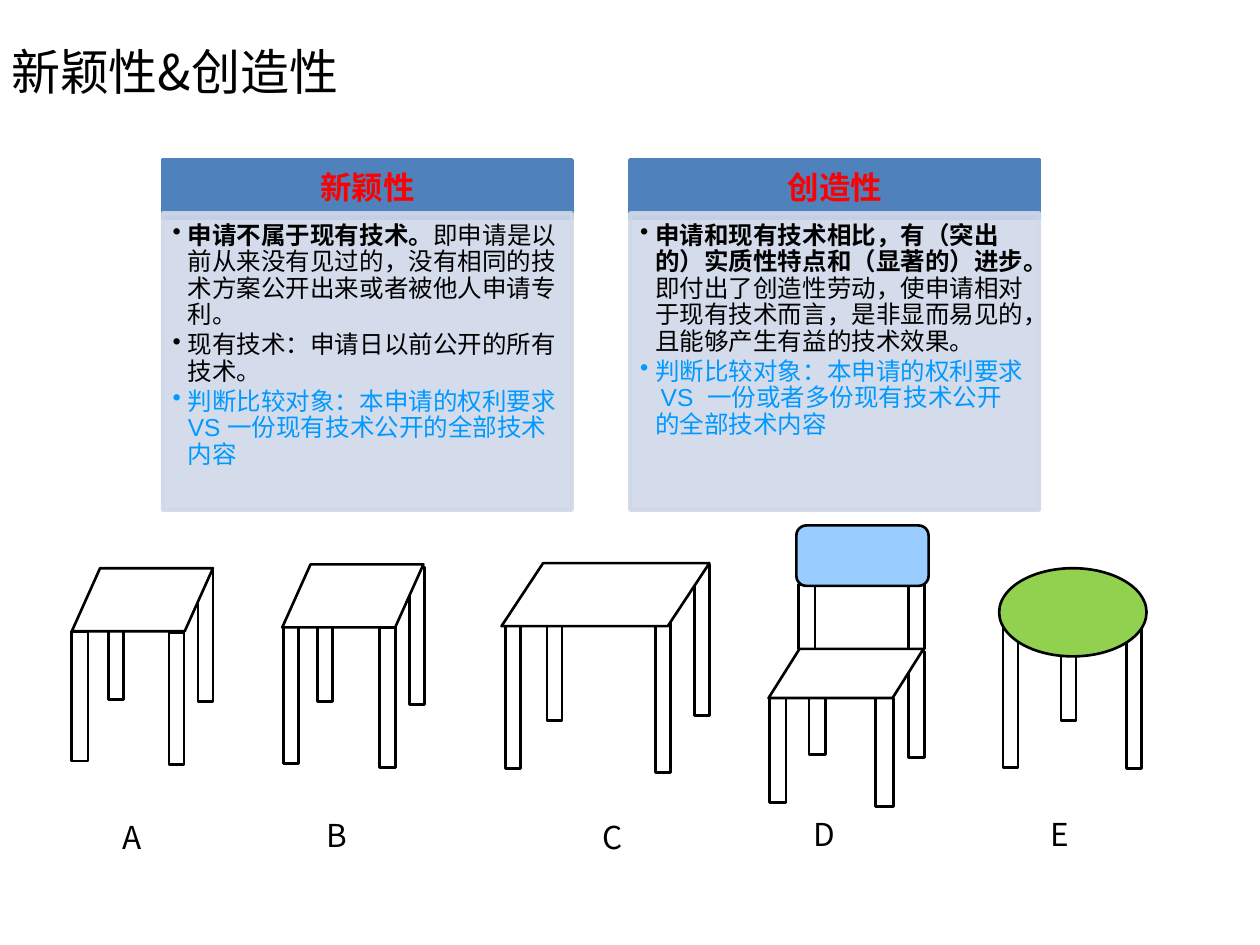
from lxml import etree
from pptx import Presentation
from pptx import util as u
from pptx.dml.color import RGBColor
from pptx.enum import shapes, text
from pptx.oxml.ns import qn

BLACK = RGBColor(0x00, 0x00, 0x00)
WHITE = RGBColor(0xFF, 0xFF, 0xFF)
RED = RGBColor(0xFF, 0x00, 0x00)
HEADER_BLUE = RGBColor(0x4F, 0x81, 0xBD)
PANEL_BLUE = RGBColor(0xD0, 0xD8, 0xE8)
NOTE_BLUE = RGBColor(0x00, 0x99, 0xFF)
BACKREST_BLUE = RGBColor(0x99, 0xCC, 0xFF)
STOOL_GREEN = RGBColor(0x92, 0xD0, 0x50)
CJK_FONT = "Noto Sans CJK SC"
KINDS = shapes.MSO_SHAPE
SEAT = KINDS.FLOWCHART_DATA

TITLE = {"name": CJK_FONT, "size": u.Pt(28)}
LABEL = {"name": CJK_FONT, "size": u.Pt(18)}
HEADING = {"name": CJK_FONT, "size": u.Pt(18), "bold": True}
BODY = {"name": "Arial", "size": u.Pt(14), "bold": False}
STRONG = {**BODY, "bold": True}

COLUMNS = [
    (1.29, "新颖性", [
        [("申请不属于现有技术。", STRONG, BLACK),
         ("即申请是以前从来没有见过的，没有相同的技术方案公开出来或者被他人申请专利。", BODY, BLACK)],
        [("现有技术：申请日以前公开的所有技术。", BODY, BLACK)],
        [("判断比较对象：本申请的权利要求 VS 一份现有技术公开的全部技术内容", BODY, NOTE_BLUE)],
    ]),
    (5, "创造性", [
        [("申请和现有技术相比，有（突出的）实质性特点和（显著的）进步。", STRONG, BLACK),
         ("即付出了创造性劳动，使申请相对于现有技术而言，是非显而易见的，且能够产生有益的技术效果。", BODY, BLACK)],
        [("判断比较对象：本申请的权利要求  VS  一份或者多份现有技术公开的全部技术内容", BODY, NOTE_BLUE)],
    ]),
]

FURNITURE = [
    ("A", (0.87, 6.44),
     [(0.57, 5.01, 0.13, 1.03), (1.34, 5.02, 0.12, 1.05),
      (0.86, 4.53, 0.12, 1.02), (1.57, 4.53, 0.12, 1.04)],
     [(SEAT, (0.57, 4.51, 1.12, 0.5), WHITE)]),
    ("B", (2.49, 6.43),
     [(2.25, 4.97, 0.12, 1.09), (3.01, 4.98, 0.13, 1.11),
      (2.52, 4.48, 0.12, 1.09), (3.25, 4.5, 0.12, 1.09)],
     [(SEAT, (2.24, 4.48, 1.12, 0.5), WHITE)]),
    ("D", (6.36, 6.42),
     [(6.11, 5.53, 0.13, 0.84), (6.95, 5.54, 0.14, 0.86),
      (6.42, 5.15, 0.13, 0.84), (7.21, 5.17, 0.13, 0.84),
      (6.34, 4.64, 0.13, 0.51), (7.21, 4.64, 0.13, 0.51)],
     [(SEAT, (6.1, 5.15, 1.23, 0.39), WHITE),
      (KINDS.FLOWCHART_ALTERNATE_PROCESS, (6.32, 4.17, 1.05, 0.48), BACKREST_BLUE)]),
    ("E", (8.24, 6.42),
     [(7.96, 4.89, 0.12, 1.2), (8.42, 4.52, 0.12, 1.2), (8.94, 4.9, 0.12, 1.2)],
     [(KINDS.OVAL, (7.93, 4.51, 1.17, 0.7), STOOL_GREEN)]),
    ("C", (4.68, 6.44),
     [(4.01, 4.93, 0.12, 1.17), (4.34, 4.84, 0.12, 0.88),
      (5.2, 4.93, 0.12, 1.2), (5.51, 4.48, 0.12, 1.2)],
     [(SEAT, (3.98, 4.47, 1.65, 0.5), WHITE)]),
]


def inches(values):
    return [u.Inches(value) for value in values]


def apply(target, values):
    for name, value in values.items():
        setattr(target, name, value)


class SlideBuilder:
    def __init__(self, slide):
        self.slide = slide

    def shape(self, kind, place, fill=None, line=BLACK, width=1.5):
        shape = self.slide.shapes.add_shape(kind, *inches(place))
        shape.shadow.inherit = False
        if fill is None:
            shape.fill.background()
        else:
            shape.fill.solid()
            shape.fill.fore_color.rgb = fill
        shape.line.color.rgb = line
        shape.line.width = u.Pt(width)
        return shape

    def span(self, para, words, style, color):
        span = para.add_run()
        span.text = words
        apply(span.font, style)
        span.font.color.rgb = color
        east_asian = etree.SubElement(span.font._element, qn("a:ea"))
        east_asian.set("typeface", CJK_FONT)

    def text(self, place, words, style):
        box = self.slide.shapes.add_textbox(*inches(place))
        box.text_frame.word_wrap = True
        self.span(box.text_frame.paragraphs[0], words, style, BLACK)

    def frame(self, shape, margins, anchor):
        frame = shape.text_frame
        sides = ("margin_left", "margin_top", "margin_right", "margin_bottom")
        apply(frame, dict(zip(sides, inches(margins))))
        apply(frame, {"word_wrap": True, "vertical_anchor": anchor})
        return frame

    def heading(self, place, words):
        bar = self.shape(KINDS.RECTANGLE, place, HEADER_BLUE, HEADER_BLUE, 2)
        frame = self.frame(bar, (0.14, 0.08, 0.14, 0.08), text.MSO_ANCHOR.MIDDLE)
        para = frame.paragraphs[0]
        apply(para, {"alignment": text.PP_ALIGN.CENTER, "line_spacing": 0.9,
                     "space_after": u.Pt(6.3)})
        self.span(para, words, HEADING, RED)

    def panel(self, place, items):
        panel = self.shape(KINDS.RECTANGLE, place, PANEL_BLUE, PANEL_BLUE, 2)
        for color in panel._element.spPr.iter(qn("a:srgbClr")):
            etree.SubElement(color, qn("a:alpha")).set("val", "90000")
        frame = self.frame(panel, (0.08, 0.08, 0.11, 0.12), text.MSO_ANCHOR.TOP)
        for index, spans in enumerate(items):
            para = frame.add_paragraph() if index else frame.paragraphs[0]
            self.bullet(para)
            for words, style, color in spans:
                self.span(para, words, style, color)

    def bullet(self, para):
        apply(para, {"level": 1, "alignment": text.PP_ALIGN.LEFT,
                     "line_spacing": 0.9, "space_after": u.Pt(2.1)})
        props = para._p.get_or_add_pPr()
        props.set("marL", str(u.Inches(0.12)))
        props.set("indent", str(u.Inches(-0.12)))
        etree.SubElement(props, qn("a:buChar")).set("char", "•")

    def furniture(self, label, label_corner, legs, tops):
        for leg in legs:
            self.shape(KINDS.RECTANGLE, leg)
        for kind, place, fill in tops:
            self.shape(kind, place, fill)
        self.text((*label_corner, 0.58, 0.4), label, LABEL)


def main():
    deck = Presentation()
    deck.slide_width, deck.slide_height = inches((10, 7.5))
    page = SlideBuilder(deck.slides.add_slide(deck.slide_layouts[6]))
    page.text((-0.01, 0.28, 9, 0.79), "新颖性&创造性", TITLE)
    for left, heading, items in COLUMNS:
        page.heading((left, 1.27, 3.25, 0.46), heading)
        page.panel((left, 1.69, 3.25, 2.36), items)
    for piece in FURNITURE:
        page.furniture(*piece)
    deck.save("out.pptx")


if __name__ == "__main__":
    main()
